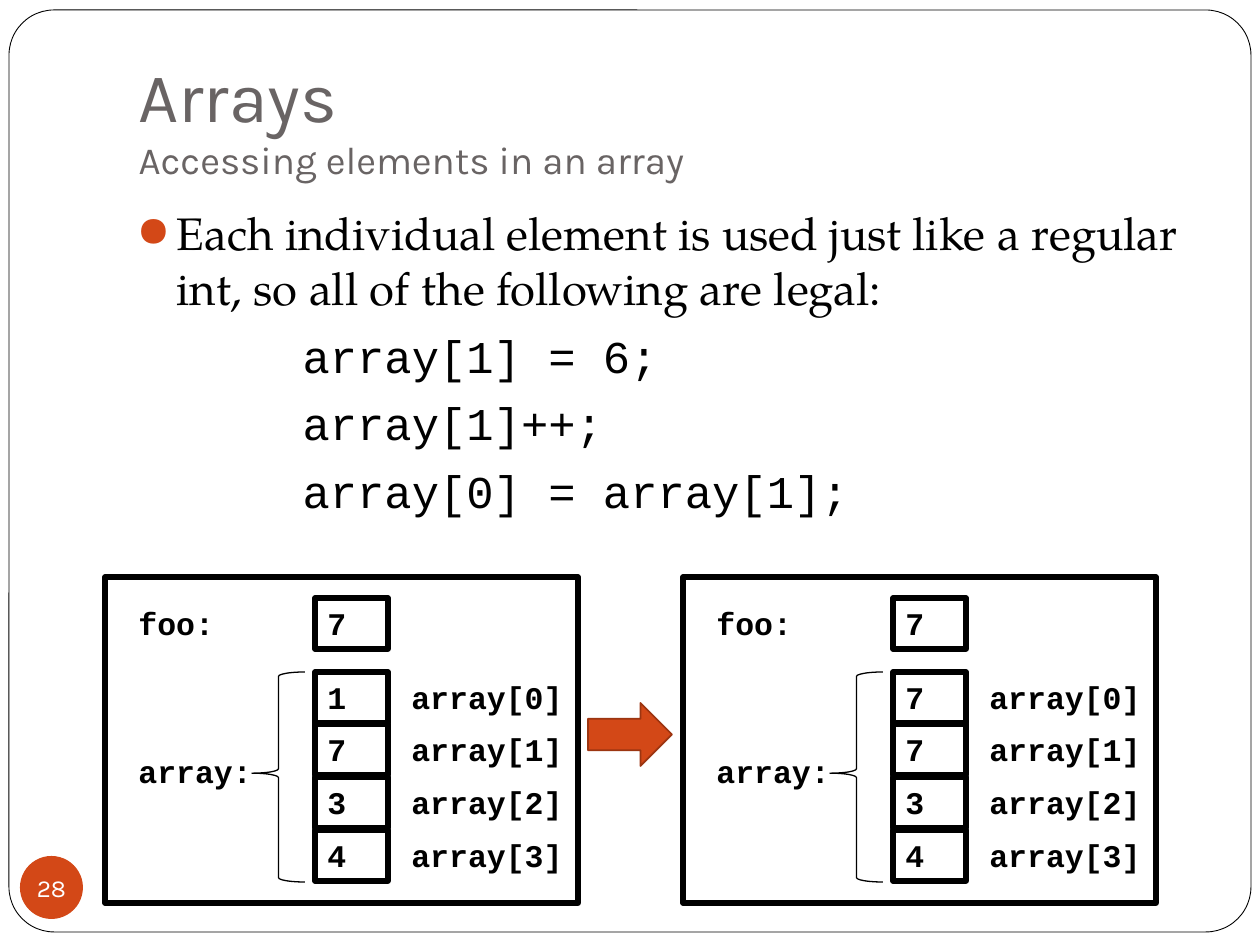
from dataclasses import dataclass

from lxml import etree
from pptx import Presentation
from pptx.dml.color import RGBColor
from pptx.enum.shapes import MSO_SHAPE
from pptx.enum.text import MSO_ANCHOR, MSO_AUTO_SIZE, PP_ALIGN
from pptx.oxml.ns import qn
from pptx.util import Pt

PX = 914400 / 126
RECT, ROUNDED = MSO_SHAPE.RECTANGLE, MSO_SHAPE.ROUNDED_RECTANGLE
BRACE, ARROW, OVAL = MSO_SHAPE.LEFT_BRACE, MSO_SHAPE.RIGHT_ARROW, MSO_SHAPE.OVAL
TOP, MIDDLE, BOTTOM = MSO_ANCHOR.TOP, MSO_ANCHOR.MIDDLE, MSO_ANCHOR.BOTTOM
LEFT, CENTER = PP_ALIGN.LEFT, PP_ALIGN.CENTER
NO_FIT, GROW = MSO_AUTO_SIZE.NONE, MSO_AUTO_SIZE.SHAPE_TO_FIT_TEXT


@dataclass(frozen=True)
class Theme:
    """Colours, fonts and type sizes of the slide."""
    ink: str = "000000"
    paper: str = "FFFFFF"
    heading: str = "696464"
    accent: str = "D34817"
    accent_edge: str = "9C3511"
    sans: str = "Karla"
    serif: str = "TeX Gyre Pagella"
    mono: str = "Courier New"
    title_size: int = 40
    subtitle_size: int = 22
    body_size: int = 26
    memory_size: int = 18
    number_size: int = 14


THEME = Theme()
STATEMENTS = ("array[1] = 6;", "array[1]++;", "array[0] = array[1];")
CELL_TOP, CELL_PITCH = 672, 52.5
PANEL_SHIFT = 578


def px(length):
    """Turn pixels into EMU."""
    return round(length * PX)


def box(left, top, width, height):
    """Turn a pixel rectangle into EMU."""
    return [px(length) for length in (left, top, width, height)]


def add_run(paragraph, text, font, size, color, bold=False):
    """Append one formatted run."""
    run = paragraph.add_run()
    run.text = text
    run.font.name = font
    run.font.size = Pt(size)
    run.font.bold = bold
    run.font.color.rgb = RGBColor.from_string(color)


def add_figure(shapes, kind, area, fill=None, line=None, weight=1, adjust=()):
    """Draw a preset shape without a shadow."""
    figure = shapes.add_shape(kind, *box(*area))
    figure.shadow.inherit = False
    for index, value in enumerate(adjust):
        figure.adjustments[index] = value
    if fill:
        figure.fill.solid()
        figure.fill.fore_color.rgb = RGBColor.from_string(fill)
    else:
        figure.fill.background()
    if line:
        figure.line.color.rgb = RGBColor.from_string(line)
        figure.line.width = Pt(weight)
    else:
        figure.line.fill.background()
    return figure


def write_memory(shape, text, wrap):
    """Write bold monospaced text in a cell or label."""
    frame = shape.text_frame
    frame.word_wrap = wrap
    frame.auto_size = GROW
    frame.vertical_anchor = TOP
    paragraph = frame.paragraphs[0]
    paragraph.alignment = LEFT
    add_run(paragraph, text, THEME.mono, THEME.memory_size, THEME.ink, True)


def add_label(shapes, text, left, top, width):
    """Add a variable name."""
    write_memory(shapes.add_textbox(*box(left, top, width, 51)), text, False)


def add_cell(shapes, value, left, top):
    """Add a memory cell with its value."""
    cell = add_figure(shapes, RECT, (left, top, 73, 51), line=THEME.ink, weight=3)
    write_memory(cell, str(value), True)


def add_memory_panel(shapes, left, foo, values):
    """Draw the variables foo and array with their values."""
    add_figure(shapes, RECT, (left, 577, 473, 326), line=THEME.ink, weight=3)
    add_label(shapes, "foo:", left + 21, 598, 102)
    add_label(shapes, "array:", left + 21, 746, 140)
    add_figure(shapes, BRACE, (left + 147, CELL_TOP, 53, 210),
               line=THEME.ink, weight=0.75, adjust=(0.083, 0.482))
    add_cell(shapes, foo, left + 210, 598)
    for index, value in enumerate(values):
        top = round(CELL_TOP + index * CELL_PITCH)
        add_cell(shapes, value, left + 210, top)
        add_label(shapes, f"array[{index}]", left + 294, top, 178)


def place(placeholder, area):
    """Move a placeholder and fix its text size."""
    placeholder.left, placeholder.top, placeholder.width, placeholder.height = box(*area)
    placeholder.text_frame.auto_size = NO_FIT
    placeholder.text_frame.word_wrap = True
    return placeholder.text_frame


def fill_title(title):
    """Write the title and its second line."""
    frame = place(title, (126, 38, 1071, 157))
    frame.vertical_anchor = BOTTOM
    frame.margin_bottom = px(12.6)
    heading = frame.paragraphs[0]
    heading.alignment = LEFT
    add_run(heading, "Arrays", THEME.sans, THEME.title_size, THEME.heading)
    heading.add_line_break()
    add_run(heading, "Accessing elements in an array",
            THEME.sans, THEME.subtitle_size, THEME.heading)


def set_bullet(paragraph, margin, indent, bullet=None):
    """Set the indents and the bullet, or no bullet."""
    props = paragraph._p.get_or_add_pPr()
    props.set("marL", str(px(margin)))
    props.set("indent", str(px(indent)))
    if bullet:
        color = etree.SubElement(props, qn("a:buClr"))
        etree.SubElement(color, qn("a:srgbClr"), val=THEME.accent)
        etree.SubElement(props, qn("a:buSzPct"), val="85000")
        etree.SubElement(props, qn("a:buFont"), typeface=THEME.serif)
        etree.SubElement(props, qn("a:buChar"), char=bullet)
    else:
        etree.SubElement(props, qn("a:buNone"))


def fill_body(body):
    """Write the statement and its code lines."""
    frame = place(body, (126, 199, 1071, 388))
    frame.vertical_anchor = TOP
    intro = frame.paragraphs[0]
    intro.space_before = Pt(5.8)
    set_bullet(intro, 38, -38, "●")
    add_run(intro, "Each individual element is used just like a regular int, "
            "so all of the following are legal:",
            THEME.serif, THEME.body_size, THEME.ink)
    for statement in STATEMENTS:
        code = frame.add_paragraph()
        code.space_before = Pt(7.5)
        set_bullet(code, 164, 0)
        add_run(code, statement, THEME.mono, THEME.body_size, THEME.ink)


def add_page_number(shapes, number):
    """Draw the round page number."""
    badge = add_figure(shapes, OVAL, (20, 856, 63, 63), fill=THEME.accent)
    frame = badge.text_frame
    frame.margin_left = frame.margin_right = frame.margin_top = frame.margin_bottom = 0
    frame.word_wrap = False
    frame.vertical_anchor = MIDDLE
    frame.paragraphs[0].alignment = CENTER
    add_run(frame.paragraphs[0], number, THEME.sans, THEME.number_size, THEME.paper)


def main():
    """Build and save the slide."""
    deck = Presentation()
    deck.slide_width, deck.slide_height = px(1260), px(945)
    slide = deck.slides.add_slide(deck.slide_layouts[1])
    shapes = slide.shapes
    border = add_figure(shapes, ROUNDED, (9, 10, 1242, 922), THEME.paper,
                        THEME.ink, 0.5, (0.049,))
    shapes.title._element.addprevious(border._element)
    fill_title(shapes.title)
    fill_body(slide.placeholders[1])
    add_memory_panel(shapes, 105, 7, (1, 7, 3, 4))
    add_memory_panel(shapes.add_group_shape().shapes, 105 + PANEL_SHIFT, 7, (7, 7, 3, 4))
    add_figure(shapes, ARROW, (588, 703, 84, 63), THEME.accent, THEME.accent_edge)
    add_page_number(shapes, "28")
    deck.save("out.pptx")


main()
